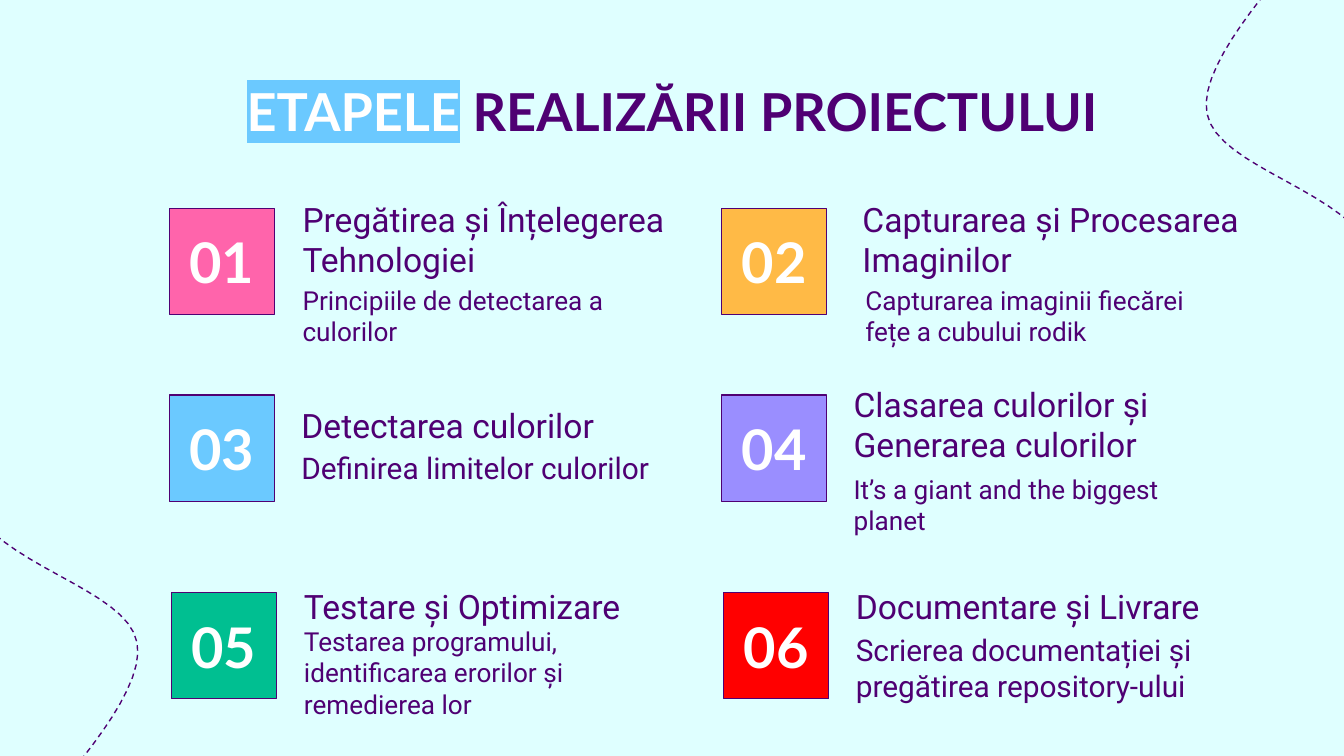
import pptx
import pptx.util
import pptx.dml.color
import pptx.enum.dml
import pptx.enum.shapes
import pptx.enum.text
import pptx.oxml
import pptx.oxml.ns
from dataclasses import dataclass

Pt = pptx.util.Pt
ALIGN = pptx.enum.text.PP_ALIGN
ANCHOR = pptx.enum.text.MSO_ANCHOR


@dataclass(frozen=True)
class Theme:
    background: str = "DFFFFF"
    ink: str = "4F0073"
    white: str = "FFFFFF"
    highlight: str = "6BC9FF"
    display_font: str = "Lato"
    body_font: str = "Roboto"
    title_size: int = 28
    number_size: int = 30
    heading_size: int = 18
    line_width: float = 0.75
    inset: float = 7.2


THEME = Theme()
SLIDE_WIDTH, SLIDE_HEIGHT = 720, 405
TITLE_BOX = (56.9, 35.3, 606.2, 45.4)
TITLE = ("ETAPELE", " REALIZĂRII PROIECTULUI")

COLUMNS = (90.7, 386.6)
ROWS = (111.6, 211.7, 317.5)
ROW_SHIFTS = (0, 0, 1.1)
SQUARE_WIDTH, SQUARE_HEIGHT = 56.2, 56.9
NUMBER_WIDTH, HEADING_HEIGHT, DETAIL_HEIGHT = 59, 31.7, 46.4

STAGES = [
    ("FF64AB", ("Pregătirea și Înțelegerea Tehnologiei", 155, 112.3, 221),
     ("Principiile de detectarea a culorilor", 155, 145.7, 190), 14),
    ("FFBA46", ("Capturarea și Procesarea Imaginilor", 455, 112.3, 224),
     ("Capturarea imaginii fiecărei fețe a cubului rodik", 456.5, 145.7, 190), 14),
    ("6BC9FF", ("Detectarea culorilor", 154.4, 211.7, 190),
     ("Definirea limitelor culorilor", 154.4, 227.5, 221), 16),
    ("9A8EFF", ("Clasarea culorilor și Generarea culorilor", 450.2, 211.5, 190),
     ("It’s a giant and the biggest planet", 450.2, 247.2, 190), 14),
    ("00BF91", ("Testare și Optimizare", 155.8, 308.9, 210),
     ("Testarea programului, identificarea erorilor și remedierea lor", 155.8, 337, 211.7), 14),
    ("FF0000", ("Documentare și Livrare", 451.4, 308.9, 245),
     ("Scrierea documentației și pregătirea repository-ului", 451.4, 334.4, 251.3), 16),
]

CURVE_START = (14.4, 443.5)
CURVE_SEGMENTS = [
    ((24.5, 427), (79.2, 373.7), (73.4, 344.2)),
    ((67.7, 314.6), (-2.2, 303.8), (-20.2, 265)),
    ((-38.9, 226.1), (-33.1, 137.5), (-35.3, 111.6)),
]
CURVE_STEPS = 16


def color(value):
    return pptx.dml.color.RGBColor.from_string(value)


def outline(shape):
    shape.shadow.inherit = False
    shape.line.color.rgb = color(THEME.ink)
    shape.line.width = Pt(THEME.line_width)


def format_frame(frame, anchor):
    frame.word_wrap = True
    frame.auto_size = pptx.enum.text.MSO_AUTO_SIZE.NONE
    frame.vertical_anchor = anchor
    frame.margin_left = frame.margin_right = Pt(THEME.inset)
    frame.margin_top = frame.margin_bottom = Pt(THEME.inset)


def format_paragraph(paragraph, font, size, ink, bold=False, align=ALIGN.LEFT):
    paragraph.alignment = align
    paragraph.font.name = font
    paragraph.font.size = Pt(size)
    paragraph.font.bold = bold
    paragraph.font.color.rgb = color(ink)


def add_text(slide, text, box, *style):
    frame = slide.shapes.add_textbox(*map(Pt, box)).text_frame
    format_frame(frame, ANCHOR.MIDDLE)
    frame.text = text
    format_paragraph(frame.paragraphs[0], *style)


def curve_points():
    points = [CURVE_START]
    for first, second, end in CURVE_SEGMENTS:
        start = points[-1]
        for step in range(1, CURVE_STEPS + 1):
            t = step / CURVE_STEPS
            points.append(tuple(
                (1 - t) ** 3 * a + 3 * (1 - t) ** 2 * t * b + 3 * (1 - t) * t ** 2 * c + t ** 3 * d
                for a, b, c, d in zip(start, first, second, end)))
    return points


def add_curve(slide, points):
    start, *rest = [(Pt(x), Pt(y)) for x, y in points]
    builder = slide.shapes.build_freeform(*start)
    builder.add_line_segments(rest, close=False)
    curve = builder.convert_to_shape()
    curve.fill.background()
    outline(curve)
    curve.line.dash_style = pptx.enum.dml.MSO_LINE.DASH


def add_title(slide):
    title = slide.shapes.title
    title.left, title.top, title.width, title.height = map(Pt, TITLE_BOX)
    format_frame(title.text_frame, ANCHOR.TOP)
    paragraph = title.text_frame.paragraphs[0]
    format_paragraph(paragraph, THEME.display_font, THEME.title_size, THEME.ink, True, ALIGN.CENTER)
    marked, plain = (paragraph.add_run() for _ in TITLE)
    marked.text, plain.text = TITLE
    marked.font.color.rgb = color(THEME.white)
    marked._r.get_or_add_rPr().append(pptx.oxml.parse_xml(
        f'<a:highlight {pptx.oxml.ns.nsdecls("a")}>'
        f'<a:srgbClr val="{THEME.highlight}"/></a:highlight>'))


def add_stage(slide, index, fill, heading, detail, detail_size):
    row, column = divmod(index, len(COLUMNS))
    left, top = COLUMNS[column] + ROW_SHIFTS[row], ROWS[row]
    square = slide.shapes.add_shape(
        pptx.enum.shapes.MSO_SHAPE.RECTANGLE,
        *map(Pt, (left, top, SQUARE_WIDTH, SQUARE_HEIGHT)))
    square.fill.solid()
    square.fill.fore_color.rgb = color(fill)
    outline(square)

    number_box = (left + (SQUARE_WIDTH - NUMBER_WIDTH) / 2,
                  top + (SQUARE_HEIGHT - HEADING_HEIGHT) / 2, NUMBER_WIDTH, HEADING_HEIGHT)
    add_text(slide, f"{index + 1:02}", number_box,
             THEME.display_font, THEME.number_size, THEME.white, True, ALIGN.CENTER)
    for (text, *box), height, size in ((heading, HEADING_HEIGHT, THEME.heading_size),
                                       (detail, DETAIL_HEIGHT, detail_size)):
        add_text(slide, text, (*box, height), THEME.body_font, size, THEME.ink)


def main():
    presentation = pptx.Presentation()
    presentation.slide_width, presentation.slide_height = Pt(SLIDE_WIDTH), Pt(SLIDE_HEIGHT)
    slide = presentation.slides.add_slide(presentation.slide_layouts[5])
    slide.background.fill.solid()
    slide.background.fill.fore_color.rgb = color(THEME.background)

    points = curve_points()
    add_curve(slide, points)
    add_curve(slide, [(SLIDE_WIDTH - x, SLIDE_HEIGHT - y) for x, y in points])
    add_title(slide)
    for index, stage in enumerate(STAGES):
        add_stage(slide, index, *stage)
    presentation.save("out.pptx")


if __name__ == "__main__":
    main()
